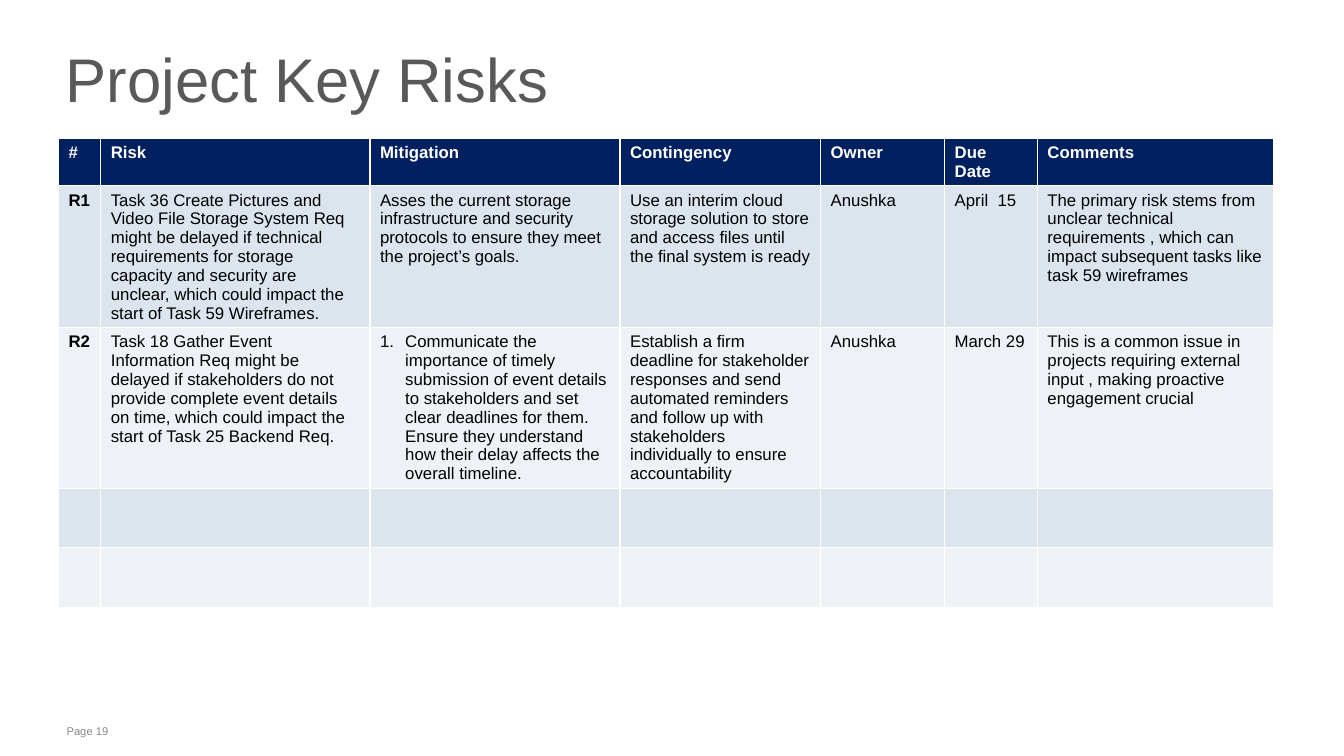
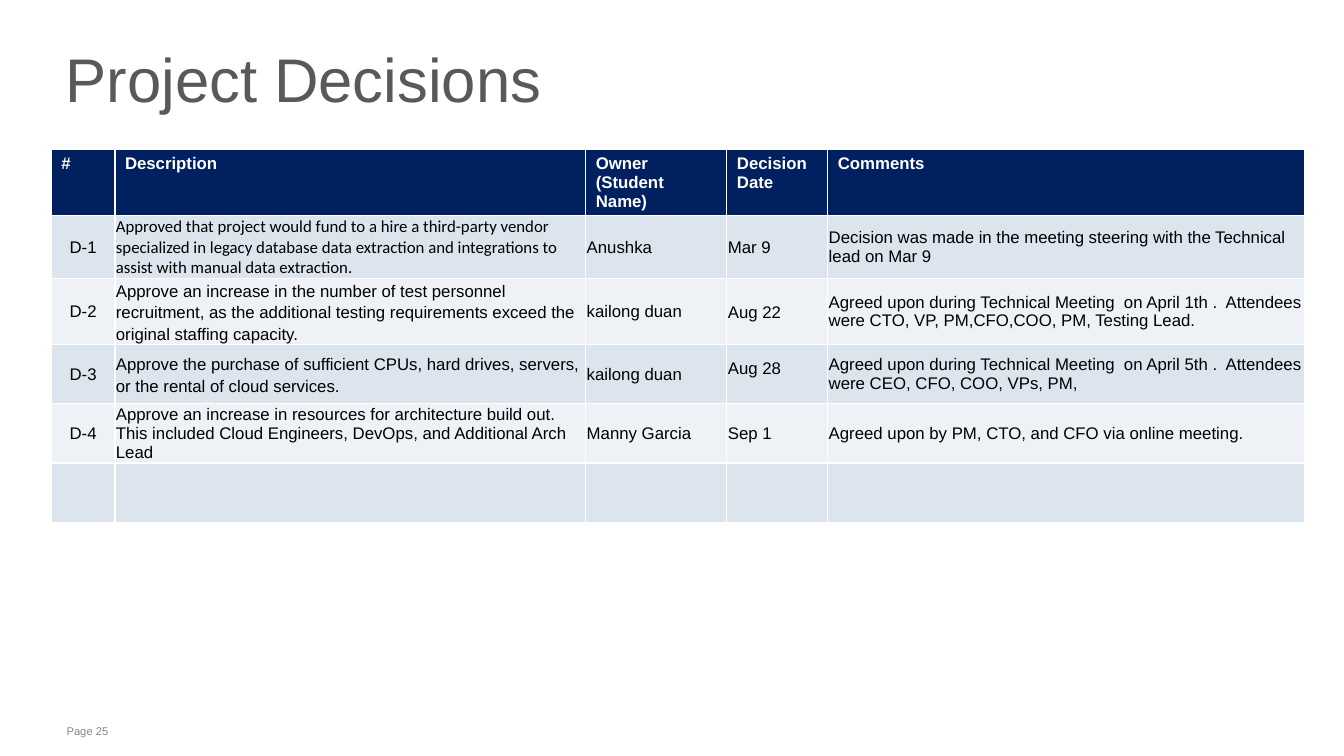
from lxml import etree
from pptx import Presentation
from pptx.dml.color import RGBColor
from pptx.enum.text import MSO_ANCHOR, MSO_AUTO_SIZE, PP_ALIGN
from pptx.oxml.ns import qn
from pptx.util import Inches, Pt

LEFT, CENTER = PP_ALIGN.LEFT, PP_ALIGN.CENTER
TOP, MIDDLE = MSO_ANCHOR.TOP, MSO_ANCHOR.MIDDLE
NO_FIT = MSO_AUTO_SIZE.NONE
TITLE_ONLY = 5

WHITE = RGBColor(0xFF, 0xFF, 0xFF)
BLACK = RGBColor(0x00, 0x00, 0x00)
NAVY = RGBColor(0x00, 0x20, 0x60)
TITLE_GREY = RGBColor(0x59, 0x59, 0x59)
FOOTER_GREY = RGBColor(0x87, 0x88, 0x8A)
BANDS = (RGBColor(0xDC, 0xE5, 0xEE), RGBColor(0xEE, 0xF2, 0xF7))

FONT = "Arial"
ROOMY = (0.1, 0.05, 0.1, 0.05)
TIGHT = (0.01, 0.01, 0.01, 0)
ROW_HEIGHT = 0.59

RISK_COLS = (0.42, 2.67, 2.48, 1.99, 1.23, 0.92, 2.34)
RISKS = [
    ("#", "Risk", "Mitigation", "Contingency", "Owner", "Due Date", "Comments"),
    ("R1",
     "Task 36 Create Pictures and Video File Storage System Req might be delayed if technical "
     "requirements for storage capacity and security are unclear, which could impact the start "
     "of Task 59 Wireframes.",
     "Asses the current storage infrastructure and security protocols to ensure they meet the "
     "project’s goals.",
     "Use an interim cloud storage solution to store and access files until the final system "
     "is ready",
     "Anushka", "April  15",
     "The primary risk stems from unclear technical requirements , which can impact subsequent "
     "tasks like task 59 wireframes"),
    ("R2",
     "Task 18 Gather Event Information Req might be delayed if stakeholders do not provide "
     "complete event details on time, which could impact the start of Task 25 Backend Req.",
     "Communicate the importance of timely submission of event details to stakeholders and set "
     "clear deadlines for them. Ensure they understand how their delay affects the overall "
     "timeline.",
     "Establish a firm deadline for stakeholder responses and send automated reminders and "
     "follow up with stakeholders individually to ensure accountability",
     "Anushka", "March 29",
     "This is a common issue in projects requiring external input , making proactive "
     "engagement crucial"),
    ("",) * 7,
    ("",) * 7,
]

DECISION_COLS = (0.63, 4.67, 1.4, 1, 4.73)
DECISIONS = [
    ("#", "Description", "Owner\n(Student Name)", "Decision Date", "Comments"),
    ("D-1",
     "Approved that project would fund to a hire a third-party vendor specialized in legacy "
     "database data extraction and integrations to assist with manual data extraction.",
     "Anushka", "Mar 9",
     "Decision was made in the meeting steering with the Technical lead on Mar 9"),
    ("D-2",
     "Approve an increase in the number of test personnel recruitment, as the additional "
     "testing requirements exceed the original staffing capacity.",
     "kailong duan", "Aug 22",
     "Agreed upon during Technical Meeting  on April 1th .  Attendees were CTO, VP, "
     "PM,CFO,COO, PM, Testing Lead."),
    ("D-3",
     "Approve the purchase of sufficient CPUs, hard drives, servers, or the rental of cloud "
     "services.",
     "kailong duan", "Aug 28",
     "Agreed upon during Technical Meeting  on April 5th .  Attendees were CEO, CFO, COO, VPs, "
     "PM,"),
    ("D-4",
     "Approve an increase in resources for architecture build out. This included Cloud "
     "Engineers, DevOps, and Additional Arch Lead",
     "Manny Garcia", "Sep 1",
     "Agreed upon by PM, CTO, and CFO via online meeting."),
    ("",) * 5,
]


def set_font(p, size, color, bold=False):
    p.font.name = FONT
    p.font.size = Pt(size)
    p.font.color.rgb = color
    p.font.bold = bold


def set_margins(box, margins):
    (box.margin_left, box.margin_top,
     box.margin_right, box.margin_bottom) = [Inches(m) for m in margins]


def place(shape, left, top, width, height):
    shape.left, shape.top = Inches(left), Inches(top)
    shape.width, shape.height = Inches(width), Inches(height)


def add_page(prs, title, page):
    s = prs.slides.add_slide(prs.slide_layouts[TITLE_ONLY])
    place(s.shapes.title, 0.57, 0.26, 10.93, 1.19)
    footer = s.shapes.add_textbox(Inches(0.58), Inches(7.14), Inches(10.79), Inches(0.24))
    for shape, text, size, color, inset in (
            (s.shapes.title, title, 44, TITLE_GREY, 0),
            (footer, f"Page {page}", 8, FOOTER_GREY, 0.05)):
        tf = shape.text_frame
        tf.text = text
        tf.word_wrap = True
        tf.auto_size = NO_FIT
        set_margins(tf, (0.08, inset, 0.08, inset))
        p = tf.paragraphs[0]
        p.alignment = LEFT
        set_font(p, size, color)
    s.shapes.title.text_frame.vertical_anchor = MIDDLE
    s.shapes.title.text_frame.paragraphs[0].line_spacing = 0.75
    return s


def add_grid(s, left, top, cols, rows, header_height, margins, anchor, bold_key):
    heights = [header_height] + [ROW_HEIGHT] * (len(rows) - 1)
    table = s.shapes.add_table(len(rows), len(cols), Inches(left), Inches(top),
                               Inches(sum(cols)), Inches(sum(heights))).table
    for column, width in zip(table.columns, cols):
        column.width = Inches(width)
    for i, (height, texts) in enumerate(zip(heights, rows)):
        table.rows[i].height = Inches(height)
        header = i == 0
        for j, text in enumerate(texts):
            cell = table.cell(i, j)
            cell.fill.solid()
            cell.fill.fore_color.rgb = NAVY if header else BANDS[(i - 1) % 2]
            set_margins(cell, ROOMY if header else margins)
            cell.vertical_anchor = TOP if header else anchor
            cell.text = text
            for p in cell.text_frame.paragraphs:
                set_font(p, 12, WHITE if header else BLACK, header or (bold_key and j == 0))
    return table


def number_paragraph(p):
    pPr = p._p.get_or_add_pPr()
    pPr.set("marL", str(Inches(0.25)))
    pPr.set("indent", str(-Inches(0.26)))
    color = etree.Element(qn("a:buClr"))
    etree.SubElement(color, qn("a:srgbClr")).set("val", str(BLACK))
    number = etree.Element(qn("a:buAutoNum"))
    number.set("type", "arabicPeriod")
    pPr.insert(0, color)
    pPr.insert(1, number)


def build_risks(prs):
    s = add_page(prs, "Project Key Risks", 19)
    table = add_grid(s, 0.58, 1.37, RISK_COLS, RISKS, 0.4, ROOMY, TOP, True)
    number_paragraph(table.cell(2, 2).text_frame.paragraphs[0])


def build_decisions(prs):
    s = add_page(prs, "Project Decisions", 25)
    table = add_grid(s, 0.51, 1.48, DECISION_COLS, DECISIONS, 0.35, TIGHT, MIDDLE, False)
    for i in range(1, len(DECISIONS)):
        table.cell(i, 0).text_frame.paragraphs[0].alignment = CENTER
    table.cell(1, 1).text_frame.paragraphs[0].font.name = "Calibri"
    for i in (2, 3):
        for j in (1, 3):
            table.cell(i, j).text_frame.paragraphs[0].line_spacing = 1.15
    table.cell(3, 3).margin_bottom = Inches(0.14)


def main():
    prs = Presentation()
    prs.slide_width, prs.slide_height = Inches(13.33), Inches(7.5)
    build_risks(prs)
    build_decisions(prs)
    prs.save("out.pptx")


if __name__ == "__main__":
    main()
